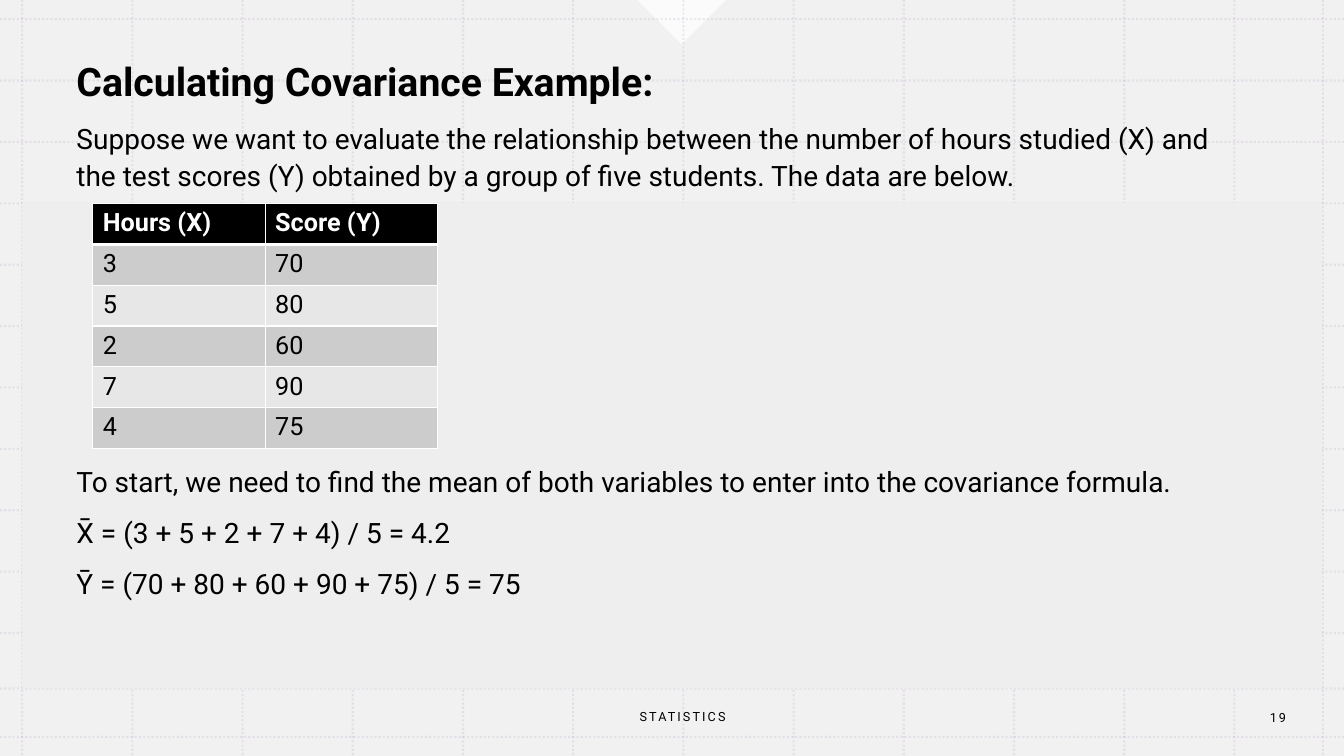
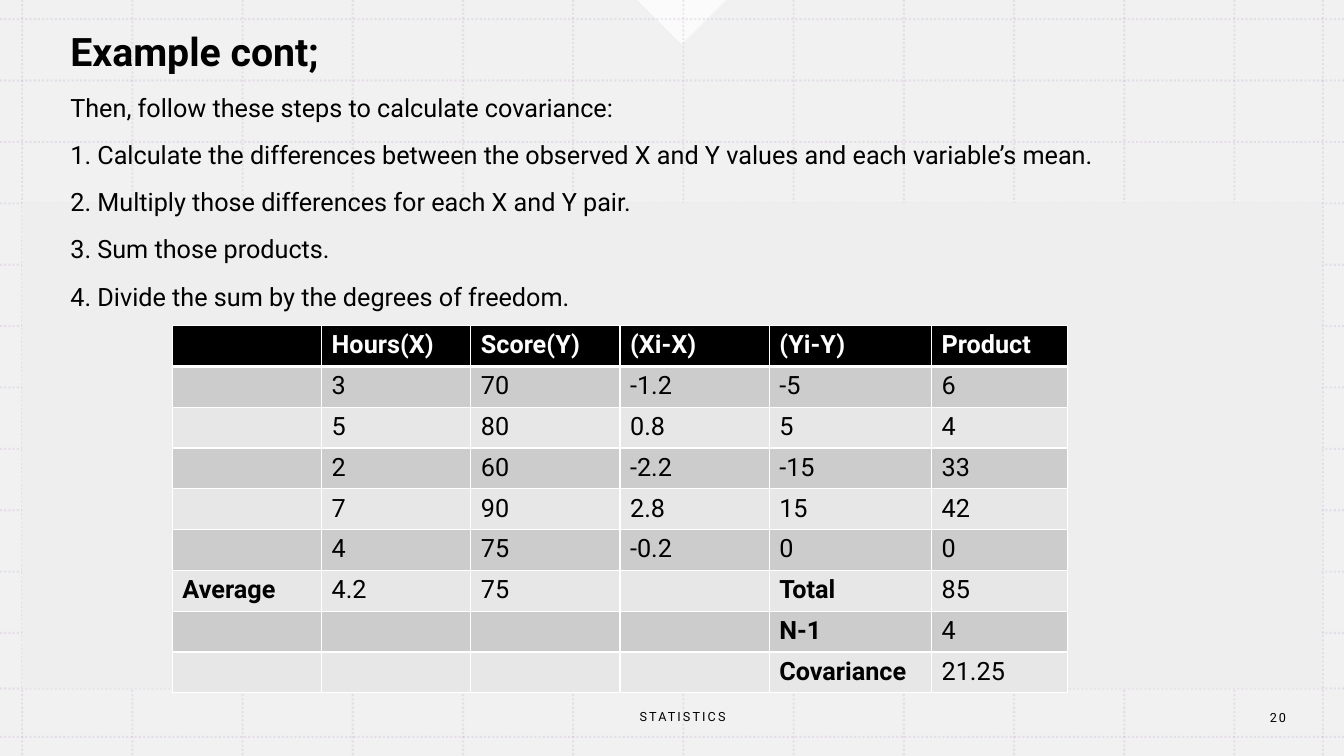
from lxml import etree
from pptx import Presentation
from pptx.dml.color import RGBColor
from pptx.enum.dml import MSO_LINE
from pptx.enum.shapes import MSO_CONNECTOR, MSO_SHAPE
from pptx.enum.text import MSO_ANCHOR, PP_ALIGN
from pptx.oxml.ns import qn
from pptx.util import Inches, Pt

RECTANGLE, TRIANGLE = MSO_SHAPE.RECTANGLE, MSO_SHAPE.RIGHT_TRIANGLE
STRAIGHT = MSO_CONNECTOR.STRAIGHT
DOTTED = MSO_LINE.ROUND_DOT
CENTER, MIDDLE = PP_ALIGN.CENTER, MSO_ANCHOR.MIDDLE

FONT = "Roboto"
COLORS = {
    "ink": "000000", "white": "FFFFFF", "panel": "EEEEEE", "grid": "B495C2",
    "dark band": "CCCCCC", "light band": "E7E7E7",
}
WIDTH, HEIGHT = 13.33, 7.5
ROW_HEIGHT = 0.405
TABLE_GAP = 192  # points left free in the text for the table

FOOTER = "STATISTICS"
SLIDES = [
    {
        "number": 19,
        "title": "Calculating Covariance Example:",
        "text": [
            "Suppose we want to evaluate the relationship between the number of hours "
            "studied (X) and the test scores (Y) obtained by a group of five students. "
            "The data are below.",
            "To start, we need to find the mean of both variables to enter into the "
            "covariance formula.",
            "X̄ = (3 + 5 + 2 + 7 + 4) / 5 = 4.2",
            "Ȳ = (70 + 80 + 60 + 90 + 75) / 5 = 75",
        ],
        "text size": 20,
        "text at": (0.66, 0.47, 11.76, 6.44),
        "gap before": 1,
        "table at": (0.92, 2.02),
        "columns": [1.71, 1.71],
        "rows": [
            ("Hours (X)", "Score (Y)"),
            ("3", "70"), ("5", "80"), ("2", "60"), ("7", "90"), ("4", "75"),
        ],
    },
    {
        "number": 20,
        "title": "Example cont;",
        "text": [
            "Then, follow these steps to calculate covariance:",
            "1. Calculate the differences between the observed X and Y values and each "
            "variable’s mean.",
            "2. Multiply those differences for each X and Y pair.",
            "3. Sum those products.",
            "4. Divide the sum by the degrees of freedom.",
        ],
        "text size": 18,
        "text at": (0.6, 0.18, 11.76, 6.39),
        "gap before": None,
        "table at": (1.71, 3.23),
        "columns": [1.48, 1.48, 1.48, 1.48, 1.61, 1.35],
        "rows": [
            ("", "Hours(X)", "Score(Y)", "(Xi-X)", "(Yi-Y)", "Product"),
            ("", "3", "70", "-1.2", "-5", "6"),
            ("", "5", "80", "0.8", "5", "4"),
            ("", "2", "60", "-2.2", "-15", "33"),
            ("", "7", "90", "2.8", "15", "42"),
            ("", "4", "75", "-0.2", "0", "0"),
            ("Average", "4.2", "75", "", "Total", "85"),
            ("", "", "", "", "N-1", "4"),
            ("", "", "", "", "Covariance", "21.25"),
        ],
    },
]


def rgb(name):
    return RGBColor.from_string(COLORS[name])


def set_alpha(element, percent):
    """Make the first solid colour inside the element partly transparent."""
    color = next(element.iter(qn("a:srgbClr")))
    etree.SubElement(color, qn("a:alpha")).set("val", str(percent * 1000))


def add_filled(slide, kind, place, color, alpha=100):
    shape = slide.shapes.add_shape(kind, *map(Inches, place))
    shape.shadow.inherit = False
    shape.fill.solid()
    shape.fill.fore_color.rgb = rgb(color)
    shape.line.fill.background()
    if alpha < 100:
        set_alpha(shape._element.spPr, alpha)
    return shape


def add_grid_line(slide, *ends):
    line = slide.shapes.add_connector(STRAIGHT, *map(Inches, ends))
    line.line.color.rgb = rgb("grid")
    line.line.width = Pt(1.5)
    line.line.dash_style = DOTTED
    properties = line._element.spPr
    set_alpha(properties, 20)
    etree.SubElement(properties, qn("a:effectLst"))


def draw_backdrop(slide):
    add_filled(slide, RECTANGLE, (0, 0, WIDTH, HEIGHT), "panel", 80)
    notch = add_filled(slide, TRIANGLE, (6.45, -0.31, 0.62, 0.62), "white", 75)
    notch.rotation = 315
    for x in [0.22 + 1.093 * i for i in range(12)] + [13.12]:
        add_grid_line(slide, x, 0, x, HEIGHT)
    for y in [0.19 + 0.609 * i for i in range(11)] + [6.83, 7.31]:
        add_grid_line(slide, 0, y, WIDTH, y)
    add_filled(slide, RECTANGLE, (0.22, 2.01, 12.89, 4.82), "panel")


def move_to_layout(slide):
    """Hand the slide's shapes to its layout, so that every slide shows them."""
    tree = slide.slide_layout.shapes._spTree
    for shape in list(slide.shapes):
        tree.append(shape._element)


def style_span(span, size, color="ink", bold=False):
    span.font.name = FONT
    span.font.size = Pt(size)
    span.font.bold = bold
    span.font.color.rgb = rgb(color)


def add_text_box(slide, place):
    box = slide.shapes.add_textbox(*map(Inches, place))
    box.text_frame.word_wrap = True
    return box.text_frame


def add_footer(slide, text, place):
    frame = add_text_box(slide, place)
    frame.text = text
    frame.vertical_anchor = MIDDLE
    para = frame.paragraphs[0]
    para.alignment = CENTER
    style_span(para.runs[0], 9)
    para.runs[0].font._element.set("spc", "150")


def add_body(slide, content):
    frame = add_text_box(slide, content["text at"])
    frame.text = "\n".join([content["title"], *content["text"]])
    for index, para in enumerate(frame.paragraphs):
        is_title = index == 0
        para.line_spacing = 1.1
        has_gap = content["gap before"] == index - 1
        para.space_before = Pt(TABLE_GAP if has_gap else 10)
        style_span(para.runs[0], 28 if is_title else content["text size"], bold=is_title)


def set_borders(cell, bottom):
    properties = cell._tc.get_or_add_tcPr()
    widths = {"a:lnL": 1, "a:lnR": 1, "a:lnT": 1, "a:lnB": bottom}
    for position, (tag, width) in enumerate(widths.items()):
        border = etree.Element(qn(tag), w=str(Pt(width)))
        fill = etree.SubElement(border, qn("a:solidFill"))
        etree.SubElement(fill, qn("a:srgbClr")).set("val", COLORS["white"])
        properties.insert(position, border)


def add_data_table(slide, content):
    rows, columns = content["rows"], content["columns"]
    size = (sum(columns), ROW_HEIGHT * len(rows))
    table = slide.shapes.add_table(
        len(rows), len(columns), *map(Inches, content["table at"] + size)).table
    table.horz_banding = False
    for column, width in zip(table.columns, columns):
        column.width = Inches(width)
    for r, values in enumerate(rows):
        is_header = r == 0
        band = "ink" if is_header else "dark band" if r % 2 else "light band"
        for c, value in enumerate(values):
            cell = table.cell(r, c)
            cell.fill.solid()
            cell.fill.fore_color.rgb = rgb(band)
            set_borders(cell, 3 if is_header or r == 0 else 1)
            if value:
                cell.text = value
                style_span(cell.text_frame.paragraphs[0].runs[0], 18,
                           "white" if is_header else "ink",
                           is_header or value[0].isalpha())


def main():
    deck = Presentation()
    deck.slide_width, deck.slide_height = Inches(WIDTH), Inches(HEIGHT)
    blank = deck.slide_layouts[6]
    for index, content in enumerate(SLIDES):
        slide = deck.slides.add_slide(blank)
        if index == 0:
            draw_backdrop(slide)
            move_to_layout(slide)
        add_footer(slide, FOOTER, (4.59, 6.91, 4.36, 0.4))
        add_footer(slide, str(content["number"]), (12.24, 6.92, 0.87, 0.4))
        add_body(slide, content)
        add_data_table(slide, content)
    deck.save("out.pptx")


if __name__ == "__main__":
    main()
